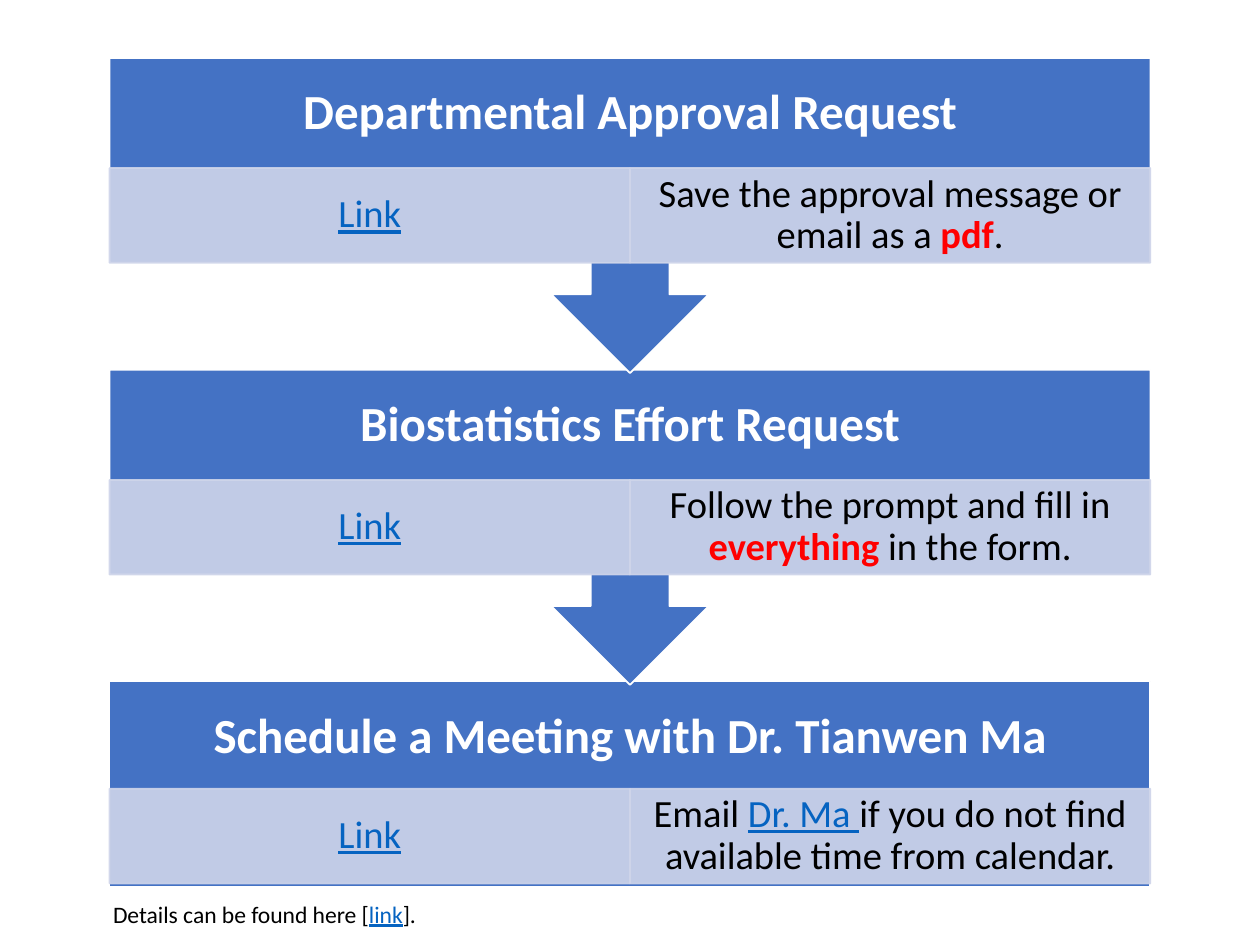
"""Build the three-step biostatistics request flow slide."""
import lxml.etree
import pptx
import pptx.dml.color
import pptx.enum.shapes
import pptx.enum.text
import pptx.oxml.ns
import pptx.util

Cm = pptx.util.Cm
Pt = pptx.util.Pt
RGBColor = pptx.dml.color.RGBColor
SHAPE = pptx.enum.shapes.MSO_SHAPE

BLUE = RGBColor(0x44, 0x72, 0xC4)
PALE_BLUE = RGBColor(0xCF, 0xD5, 0xEA)
LINK_BLUE = RGBColor(0x05, 0x63, 0xC1)
RED = RGBColor(0xFF, 0x00, 0x00)
BLACK = RGBColor(0x00, 0x00, 0x00)
WHITE = RGBColor(0xFF, 0xFF, 0xFF)

LEFT = Cm(2.21)
STEP_WIDTH = Cm(20.98)
HALF_WIDTH = Cm(10.49)
FIRST_TOP = Cm(1.17)
PITCH = Cm(6.285)
HEADING_HEIGHT = Cm(2.24)
CELL_HEIGHT = Cm(1.91)
CALLOUT_HEIGHT = Cm(6.35)
LAST_HEIGHT = Cm(4.14)

PLAIN = {"color": BLACK}
LINK = {"color": LINK_BLUE, "underline": True}
STRONG = {"color": RED, "bold": True}
HEADING = {"color": WHITE, "bold": True}

STEPS = [
    ("Departmental Approval Request", Cm(2.22),
     [("Save the approval message or email as a ", PLAIN), ("pdf", STRONG), (".", PLAIN)]),
    ("Biostatistics Effort Request", Cm(2.22),
     [("Follow the prompt and fill in ", PLAIN), ("everything", STRONG),
      (" in the form.", PLAIN)]),
    ("Schedule a Meeting with Dr. Tianwen Ma", Cm(2.16),
     [("Email ", PLAIN), ("Dr. Ma ", LINK),
      ("if you do not find available time from calendar.", PLAIN)]),
]


def write_runs(paragraph, pieces, size):
    """Fill a paragraph with styled pieces of text."""
    for text, style in pieces:
        run = paragraph.add_run()
        run.text = text
        run.font.name = "Calibri"
        run.font.size = Pt(size)
        run.font.color.rgb = style["color"]
        run.font.bold = style.get("bold", False)
        run.font.underline = style.get("underline", False)


def write_centred(shape, pieces, size, side_inset, end_inset):
    """Write one centred paragraph in the middle of a shape."""
    frame = shape.text_frame
    frame.word_wrap = True
    frame.vertical_anchor = pptx.enum.text.MSO_ANCHOR.MIDDLE
    frame.margin_left = frame.margin_right = side_inset
    frame.margin_top = frame.margin_bottom = end_inset
    paragraph = frame.paragraphs[0]
    paragraph.alignment = pptx.enum.text.PP_ALIGN.CENTER
    paragraph.line_spacing = 0.9
    write_runs(paragraph, pieces, size)


def add_block(slide, kind, box, fill, line):
    """Add a filled and outlined preset shape."""
    block = slide.shapes.add_shape(kind, *box)
    block.shadow.inherit = False
    block.fill.solid()
    block.fill.fore_color.rgb = fill
    block.line.color.rgb = line
    block.line.width = Pt(1)
    return block


def add_cell(slide, left, top, pieces):
    """Add a slightly transparent detail cell."""
    cell = add_block(slide, SHAPE.RECTANGLE, (left, top, HALF_WIDTH, CELL_HEIGHT),
                     PALE_BLUE, PALE_BLUE)
    for color in cell._element.spPr.iter(pptx.oxml.ns.qn("a:srgbClr")):
        lxml.etree.SubElement(color, pptx.oxml.ns.qn("a:alpha"), val="90000")
    write_centred(cell, pieces, 22, Cm(0.43), Cm(0.08))


def add_step(slide, index):
    """Add a step with its heading and two cells; all but the last point down."""
    title, cell_offset, instruction = STEPS[index]
    top = FIRST_TOP + index * PITCH
    if index == len(STEPS) - 1:
        add_block(slide, SHAPE.RECTANGLE, (LEFT, top, STEP_WIDTH, LAST_HEIGHT), BLUE, WHITE)
    else:
        callout = add_block(slide, SHAPE.UP_ARROW_CALLOUT,
                            (LEFT, top, STEP_WIDTH, CALLOUT_HEIGHT), BLUE, WHITE)
        callout.rotation = 180
    heading = slide.shapes.add_textbox(LEFT, top, STEP_WIDTH, HEADING_HEIGHT)
    write_centred(heading, [(title, HEADING)], 28, Cm(0.56), Cm(0.56))
    for column, pieces in enumerate(([("Link", LINK)], instruction)):
        add_cell(slide, LEFT + column * HALF_WIDTH, top + cell_offset, pieces)


def add_footnote(slide):
    """Add the line that points to further details."""
    footnote = slide.shapes.add_textbox(Cm(2.03), Cm(18.01), Cm(6.71), Cm(0.84))
    footnote.text_frame.word_wrap = False
    footnote.text_frame.auto_size = pptx.enum.text.MSO_AUTO_SIZE.SHAPE_TO_FIT_TEXT
    write_runs(footnote.text_frame.paragraphs[0],
               [("Details can be found here [", PLAIN), ("link", LINK), ("].", PLAIN)], 13.5)


def main():
    """Build and save the slide."""
    deck = pptx.Presentation()
    deck.slide_width, deck.slide_height = Cm(25.4), Cm(19.05)
    slide = deck.slides.add_slide(deck.slide_layouts[6])
    for index in reversed(range(len(STEPS))):
        add_step(slide, index)
    add_footnote(slide)
    deck.save("out.pptx")


if __name__ == "__main__":
    main()
